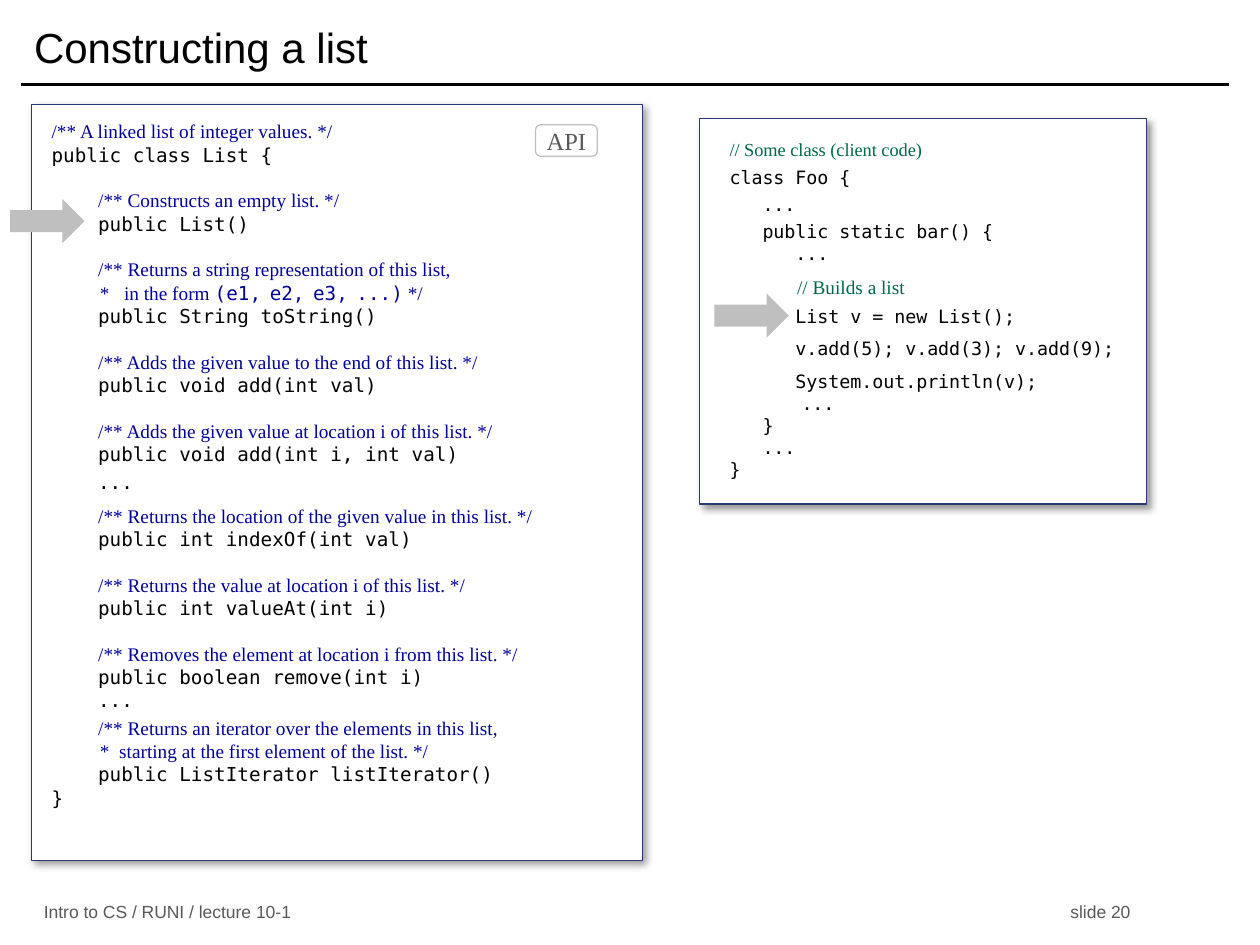
from pptx import Presentation
from pptx.dml.color import RGBColor
from pptx.enum.shapes import MSO_CONNECTOR, MSO_SHAPE
from pptx.enum.text import MSO_ANCHOR, PP_ALIGN
from pptx.oxml import parse_xml
from pptx.oxml.ns import nsdecls, qn
from pptx.util import Inches, Pt

RECT, ROUND = MSO_SHAPE.RECTANGLE, MSO_SHAPE.ROUNDED_RECTANGLE
ARROW, LINE = MSO_SHAPE.RIGHT_ARROW, MSO_CONNECTOR.STRAIGHT
TOP, MIDDLE = MSO_ANCHOR.TOP, MSO_ANCHOR.MIDDLE
LEFT, CENTER, RIGHT = PP_ALIGN.LEFT, PP_ALIGN.CENTER, PP_ALIGN.RIGHT

COLORS = {"black": "000000", "white": "FFFFFF", "navy": "000099",
          "green": "00664D", "frame": "293973", "gray": "BFBFBF",
          "dark": "595959"}
SANS, SERIF, MONO = "Arial", "Times New Roman", "DejaVu Sans Mono"

# Text styles: font, size, color
STYLES = {
    "title": (SANS, 24, "black"),
    "foot": (SANS, 10, "dark"),
    "tag": (SERIF, 14, "dark"),
    "doc": (SERIF, 11, "navy"),
    "code": (MONO, 11, "black"),
    "value": (MONO, 11, "navy"),
    "gap": (MONO, 8, "navy"),
    "note": (SERIF, 10.5, "green"),
    "step": (SERIF, 11, "green"),
    "foo": (MONO, 10.5, "black"),
    "thin": (MONO, 8, "black"),
}
MARGINS = (0.1, 0.05, 0.1, 0.05)
BLANK = 13  # height of one empty code line, in points


def row(style, text, before=0):
    return before, [(style, text)]


def doc(text, before=0):
    return before, [("code", "    "), ("doc", text)]


def color(name):
    return RGBColor.from_string(COLORS[name])


class Deck:
    def __init__(self):
        self.prs = Presentation()
        self.prs.slide_width, self.prs.slide_height = Inches(10), Inches(7.5)
        self.slide = self.prs.slides.add_slide(self.prs.slide_layouts[5])
        self.shapes = self.slide.shapes

    def fill_text(self, frame, rows, pads=MARGINS, anchor=MIDDLE, align=LEFT,
                  wrap=True):
        left, top, right, bottom = map(Inches, pads)
        values = {"margin_left": left, "margin_top": top,
                  "margin_right": right, "margin_bottom": bottom,
                  "vertical_anchor": anchor, "word_wrap": wrap}
        for name, value in values.items():
            setattr(frame, name, value)
        for i, (before, runs) in enumerate(rows):
            para = frame.add_paragraph() if i else frame.paragraphs[0]
            para.alignment = align
            para.space_before = Pt(before)
            for style, text in runs:
                face, size, tint = STYLES[style]
                run = para.add_run()
                run.text = text
                for name, value in {"name": face, "size": Pt(size)}.items():
                    setattr(run.font, name, value)
                run.font.color.rgb = color(tint)

    def title(self, place, text):
        shape = self.shapes.title
        sides = ("left", "top", "width", "height")
        for name, value in zip(sides, map(Inches, place)):
            setattr(shape, name, value)
        self.fill_text(shape.text_frame, [row("title", text)])

    def label(self, place, text, align=LEFT):
        box = self.shapes.add_textbox(*map(Inches, place))
        self.fill_text(box.text_frame, [row("foot", text)], align=align)

    def rule(self, x1, y1, x2, y2):
        line = self.shapes.add_connector(LINE, *map(Inches, (x1, y1, x2, y2)))
        line.line.color.rgb = color("black")
        line.line.width = Pt(2)
        line._element.spPr.append(parse_xml(f"<a:effectLst {nsdecls('a')}/>"))

    def shape(self, kind, place, fill="white", edge=None):
        shape = self.shapes.add_shape(kind, *map(Inches, place))
        shape.shadow.inherit = False
        shape.fill.solid()
        shape.fill.fore_color.rgb = color(fill)
        if edge:
            shape.line.color.rgb = color(edge)
            shape.line.width = Pt(0.75)
        else:
            shape.line.fill.background()
        return shape

    def panel(self, place, rows, pads):
        shape = self.shape(RECT, place, edge="frame")
        effects = shape._element.spPr.find(qn("a:effectLst"))
        effects.append(parse_xml(
            f'<a:outerShdw {nsdecls("a")} blurRad="{Pt(4)}" dist="{Pt(3)}" '
            'dir="2700000" algn="tl" rotWithShape="0">'
            f'<a:srgbClr val="{COLORS["black"]}"><a:alpha val="40000"/>'
            '</a:srgbClr></a:outerShdw>'))
        self.fill_text(shape.text_frame, rows, pads, TOP)

    def tag(self, place, text):
        shape = self.shape(ROUND, place, edge="gray")
        self.fill_text(shape.text_frame, [row("tag", text)],
                       (0, 0.05, 0, 0.05), align=CENTER)

    def arrow(self, left, top):
        self.shape(ARROW, (left, top, 0.59, 0.35), "gray")


API = [
    row("doc", "/** A linked list of integer values. */"),
    row("code", "public class List {"),
    doc("/** Constructs an empty list. */", BLANK),
    row("code", "    public List()"),
    doc("/** Returns a string representation of this list,", BLANK),
    (0, [("doc", "          *   in the form "), ("value", "(e1,"),
         ("gap", " "), ("value", "e2,"), ("gap", " "), ("value", "e3,"),
         ("gap", " "), ("value", "...)"), ("doc", " */")]),
    row("code", "    public String toString()"),
    doc("/** Adds the given value to the end of this list. */", BLANK),
    row("code", "    public void add(int val)"),
    doc("/** Adds the given value at location i of this list. */", BLANK),
    row("code", "    public void add(int i, int val)"),
    row("code", "    ...", 3),
    doc("/** Returns the location of the given value in this list. */", 6),
    row("code", "    public int indexOf(int val)"),
    doc("/** Returns the value at location i of this list. */", BLANK),
    row("code", "    public int valueAt(int i)"),
    doc("/** Removes the element at location i from this list. */", BLANK),
    row("code", "    public boolean remove(int i)"),
    row("code", "    ..."),
    doc("/** Returns an iterator over the elements in this list,", 3),
    row("doc", "          *  starting at the first element of the list. */"),
    row("code", "    public ListIterator listIterator()"),
    row("code", "}"),
]

CLIENT = [
    row("note", "// Some class (client code)"),
    row("foo", "class Foo {", 3),
    row("foo", "   ...", 3),
    row("foo", "   public static bar() {", 3),
    row("foo", "      ..."),
    row("step", "              // Builds a list", 6),
    row("foo", "      List v = new List();", 4),
    row("foo", "      v.add(5); v.add(3); v.add(9);", 6),
    row("foo", "      System.out.println(v);", 6),
    (0, [("foo", "    "), ("thin", " "), ("foo", " "), ("thin", " "),
         ("foo", "...")]),
    row("foo", "   }"),
    row("foo", "   ..."),
    row("foo", "}"),
]


def main():
    deck = Deck()
    # Title and footer
    deck.rule(0.17, 0.67, 9.75, 0.67)
    deck.title((0.17, 0.08, 9.58, 0.58), "Constructing a list")
    deck.label((0.25, 7.14, 4, 0.19), "Intro to CS / RUNI / lecture 10-1")
    deck.label((7.07, 7.14, 2, 0.19), "slide 20", RIGHT)
    # List API
    deck.panel((0.25, 0.83, 4.85, 6), API, (0.16, 0.12, 0, 0))
    deck.tag((4.25, 0.99, 0.49, 0.25), "API")
    deck.arrow(0.08, 1.58)
    # Client code
    deck.panel((5.55, 0.94, 3.55, 3.06), CLIENT, (0.24, 0.16, 0, 0))
    deck.arrow(5.67, 2.33)
    deck.prs.save("out.pptx")


if __name__ == "__main__":
    main()
